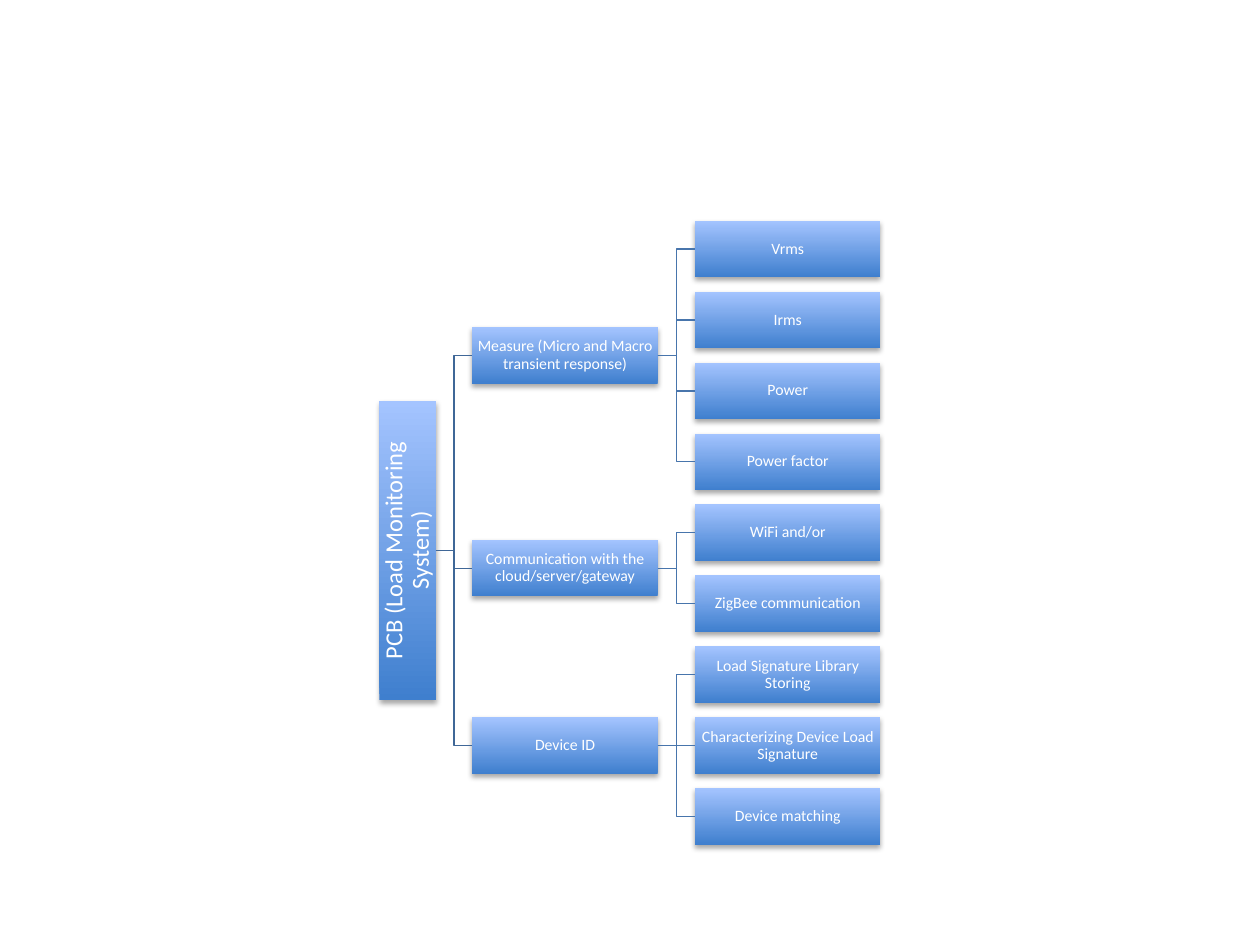
"""Build a slide with the function tree of a load monitoring board."""
from dataclasses import dataclass
from typing import Optional

from lxml import etree
from pptx import Presentation
from pptx import util as u
from pptx.dml.color import RGBColor
from pptx.enum import shapes, text
from pptx.oxml import parse_xml
from pptx.oxml.ns import nsdecls, qn

WHITE = RGBColor(0xFF, 0xFF, 0xFF)
DARK_BLUE = RGBColor(0x3F, 0x7F, 0xCE)
LIGHT_BLUE = RGBColor(0xA4, 0xC4, 0xFF)
ROOT_LINK = RGBColor(0x3F, 0x67, 0x97)
LEAF_LINK = RGBColor(0x48, 0x75, 0xAC)

BOX_WIDTH, BOX_HEIGHT, ROOT_LENGTH = 3.74, 1.14, 6.02
ROOT_X, BRANCH_X, LEAF_X = 8.22, 11.39, 15.88
FIRST_LEAF_Y, LEAF_PITCH = 5.02, 1.43
SITE_LEFT, SITE_RIGHT = 1, 3


@dataclass
class Node:
    label: str
    x: float
    y: float
    width: float = BOX_WIDTH
    size: int = 9
    rotation: int = 0


@dataclass
class Branch:
    label: str
    leaves: list[str]


ROOT_LABEL = "PCB (Load Monitoring System)"
BRANCHES = [
    Branch("Measure (Micro and Macro transient response)",
           ["Vrms", "Irms", "Power", "Power factor"]),
    Branch("Communication with the cloud/server/gateway",
           ["WiFi and/or", "ZigBee communication"]),
    Branch("Device ID",
           ["Load Signature Library Storing",
            "Characterizing Device Load Signature", "Device matching"]),
]


def draw_node(slide, node: Node):
    """Draw a shaded box centred on the node's position."""
    box = slide.shapes.add_shape(
        shapes.MSO_SHAPE.RECTANGLE,
        u.Cm(node.x - node.width / 2), u.Cm(node.y - BOX_HEIGHT / 2),
        u.Cm(node.width), u.Cm(BOX_HEIGHT))
    box.rotation = node.rotation
    box.line.fill.background()
    box.fill.gradient()
    box.fill.gradient_angle = 90
    for stop, color in zip(box.fill.gradient_stops, (DARK_BLUE, LIGHT_BLUE)):
        stop.color.rgb = color
    properties = box._element.spPr
    properties.find(qn("a:gradFill")).set("rotWithShape", "0")

    box.shadow.inherit = False
    properties.find(qn("a:effectLst")).append(parse_xml(
        f'<a:outerShdw {nsdecls("a")} blurRad="{u.Pt(3.1)}" dist="{u.Pt(1.8)}" '
        'dir="5400000" rotWithShape="0"><a:srgbClr val="000000">'
        '<a:alpha val="35000"/></a:srgbClr></a:outerShdw>'))

    frame = box.text_frame
    frame.word_wrap = True
    frame.vertical_anchor = text.MSO_ANCHOR.MIDDLE
    frame.margin_left = frame.margin_right = u.Cm(0.02)
    frame.margin_top = frame.margin_bottom = u.Cm(0.02)
    frame.text = node.label
    paragraph = frame.paragraphs[0]
    paragraph.alignment = text.PP_ALIGN.CENTER
    paragraph.line_spacing = 0.9
    paragraph.font.name = "Calibri"
    paragraph.font.size = u.Pt(node.size)
    paragraph.font.color.rgb = WHITE
    return box


def draw_link(slide, start: tuple[float, float], child, color: RGBColor,
              parent: Optional[object] = None) -> None:
    """Link a start point, or a parent box's right side, to a child box."""
    x, y = u.Cm(start[0]), u.Cm(start[1])
    child_y = child.top + child.height // 2
    level = abs(child_y - y) < u.Cm(0.05)
    kind = shapes.MSO_CONNECTOR.STRAIGHT if level else shapes.MSO_CONNECTOR.ELBOW
    link = slide.shapes.add_connector(kind, x, y, child.left, child_y)
    if parent is not None:
        link.begin_connect(parent, SITE_RIGHT)
    link.end_connect(child, SITE_LEFT)
    link.line.color.rgb = color
    link.line.width = u.Pt(0.75)
    etree.SubElement(link._element.spPr, qn("a:effectLst"))


def main() -> None:
    """Lay out the tree from its leaves to its root."""
    deck = Presentation()
    deck.slide_width, deck.slide_height = u.Cm(25.4), u.Cm(19.05)
    slide = deck.slides.add_slide(deck.slide_layouts[6])

    leaf_y = FIRST_LEAF_Y
    branch_boxes, branch_ys = [], []
    for branch in BRANCHES:
        leaf_ys = [leaf_y + i * LEAF_PITCH for i in range(len(branch.leaves))]
        leaf_y = leaf_ys[-1] + LEAF_PITCH
        branch_y = (leaf_ys[0] + leaf_ys[-1]) / 2
        branch_box = draw_node(slide, Node(branch.label, BRANCH_X, branch_y))
        for label, y in zip(branch.leaves, leaf_ys):
            leaf_box = draw_node(slide, Node(label, LEAF_X, y))
            draw_link(slide, (BRANCH_X + BOX_WIDTH / 2, branch_y), leaf_box,
                      LEAF_LINK, branch_box)
        branch_boxes.append(branch_box)
        branch_ys.append(branch_y)

    root_y = (branch_ys[0] + branch_ys[-1]) / 2
    draw_node(slide, Node(ROOT_LABEL, ROOT_X, root_y, ROOT_LENGTH, 14, 270))
    for branch_box in branch_boxes:
        draw_link(slide, (ROOT_X + BOX_HEIGHT / 2, root_y), branch_box, ROOT_LINK)

    deck.save("out.pptx")


if __name__ == "__main__":
    main()
